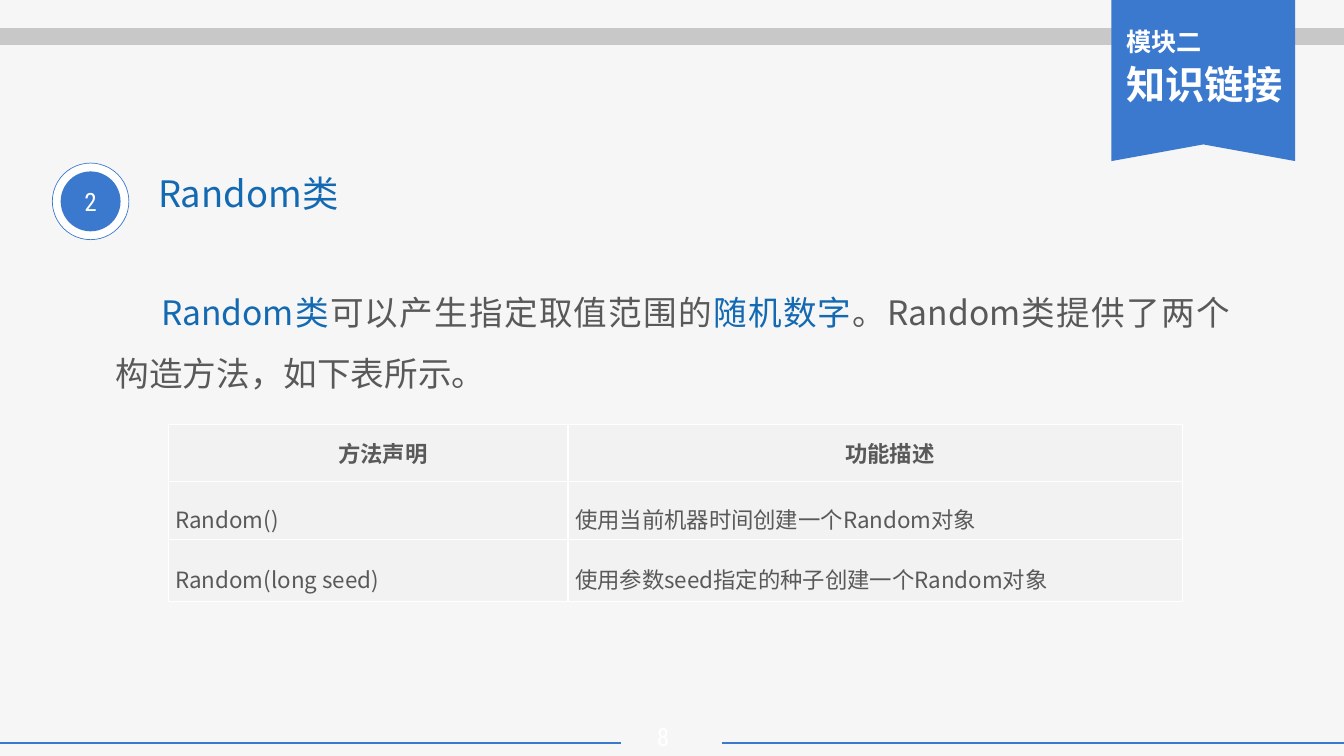
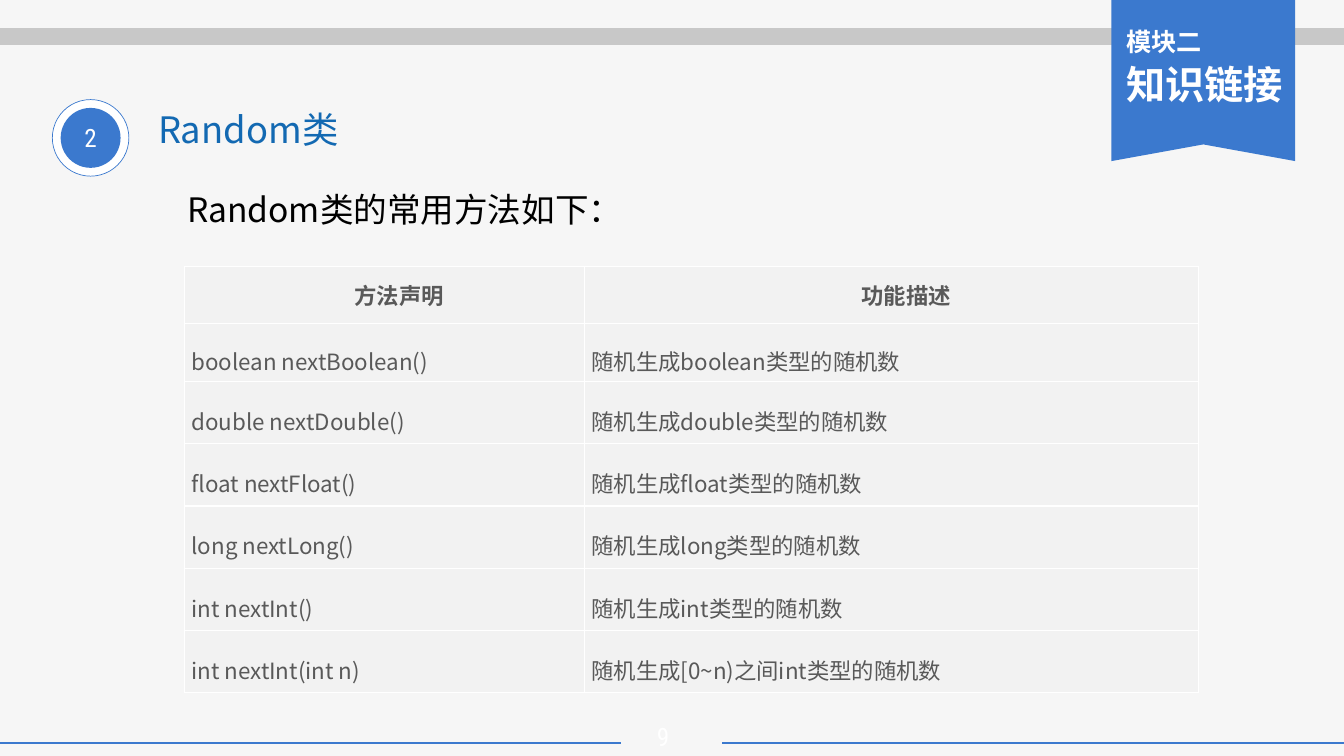
from lxml.etree import SubElement
from pptx import Presentation
from pptx.dml.color import RGBColor
from pptx.enum.shapes import MSO_CONNECTOR as LINE, MSO_SHAPE as SHAPE
from pptx.enum.text import MSO_ANCHOR as ANCHOR, MSO_AUTO_SIZE as FIT, PP_ALIGN as ALIGN
from pptx.oxml.ns import qn
from pptx.util import Cm, Pt

COLORS = {"page": "F6F6F6", "blue": "3B79CE", "title": "1369B2", "bar": "C8C8C8",
          "text": "595959", "cell": "F2F2F2", "white": "FFFFFF", "black": "000000"}
SANS, NUMERAL = "Noto Sans CJK SC", "Roboto Condensed"
WIDTH, HEIGHT = 33.88, 19.05
FIRST_PAGE = 8
HEADER = ("方法声明", "功能描述")
CONSTRUCTORS = [
    ("Random()", "使用当前机器时间创建一个Random对象"),
    ("Random(long seed)", "使用参数seed指定的种子创建一个Random对象"),
]
METHODS = [
    ("boolean nextBoolean()", "随机生成boolean类型的随机数"),
    ("double nextDouble()", "随机生成double类型的随机数"),
    ("float nextFloat()", "随机生成float类型的随机数"),
    ("long nextLong()", "随机生成long类型的随机数"),
    ("int nextInt()", "随机生成int类型的随机数"),
    ("int nextInt(int n)", "随机生成[0~n)之间int类型的随机数"),
]


def rgb(name):
    return RGBColor.from_string(COLORS[name])


def write(p, text, size=16, color="text", font=SANS, bold=False, align=ALIGN.LEFT,
          indent=0, spacing=1.0, after=0):
    p.alignment, p.line_spacing, p.space_after = align, spacing, Pt(after)
    if indent:
        p._p.get_or_add_pPr().set("indent", str(Cm(indent)))
    r = p.add_run()
    r.text = text
    r.font.name, r.font.size, r.font.bold = font, Pt(size), bold
    r.font.color.rgb = rgb(color)
    SubElement(r._r.get_or_add_rPr(), qn("a:ea"), typeface=font)


class Deck:
    """Hold the course style and the slide being built."""

    def __init__(self):
        self.prs = Presentation()
        self.prs.slide_width, self.prs.slide_height = Cm(WIDTH), Cm(HEIGHT)
        fill = self.prs.slide_master.background.fill
        fill.solid()
        fill.fore_color.rgb = rgb("page")

    def slide(self, title, number, top):
        self.s = self.prs.slides.add_slide(self.prs.slide_layouts[5])
        self.line(18.21, WIDTH, 18.72, "blue", 1.77)
        self.line(0, 15.65, 18.72, "blue", 1.77)
        self.line(0, WIDTH, 0.91, "bar", 12)
        self.ribbon("模块二", "知识链接")
        self.title(title, top + 0.2)
        self.badge(number, top)
        page = FIRST_PAGE + len(self.prs.slides) - 1
        tf = self.text(15.65, 18.05, 2.13, 1, ANCHOR.MIDDLE)
        write(tf.paragraphs[0], str(page), size=18, color="white", font=NUMERAL,
              align=ALIGN.CENTER)

    def line(self, x1, x2, y, color, width):
        c = self.s.shapes.add_connector(LINE.STRAIGHT, Cm(x1), Cm(y), Cm(x2), Cm(y))
        c.line.color.rgb, c.line.width = rgb(color), Pt(width)
        SubElement(c._element.spPr, qn("a:effectLst"))

    def paint(self, sp, fill, line=None):
        sp.shadow.inherit = False
        sp.fill.solid()
        sp.fill.fore_color.rgb = rgb(fill)
        if line:
            sp.line.color.rgb, sp.line.width = rgb(line), Pt(0.5)
        else:
            sp.line.fill.background()

    def ribbon(self, module, section):
        left, right, bottom, notch = 28.02, 32.65, 4.06, 3.64
        fb = self.s.shapes.build_freeform(Cm(left), 0)
        fb.add_line_segments([(Cm(right), 0), (Cm(right), Cm(bottom)),
                              (Cm((left + right) / 2), Cm(notch)), (Cm(left), Cm(bottom))])
        self.paint(fb.convert_to_shape(), "blue")
        tf = self.text(28.14, 0.53, 4.52, 2.34)
        style = dict(color="white", bold=True, after=3)
        write(tf.paragraphs[0], module, size=18, **style)
        write(tf.add_paragraph(), section, size=28, **style)

    def title(self, text, top):
        sp = self.s.shapes.title
        sp.left, sp.top, sp.width, sp.height = Cm(3.73), Cm(top), Cm(8.97), Cm(1.19)
        tf = sp.text_frame
        tf.auto_size, tf.vertical_anchor = FIT.NONE, ANCHOR.TOP
        tf.margin_top = tf.margin_bottom = 0
        write(tf.paragraphs[0], text, size=26, color="title")

    def badge(self, number, top):
        for inset, fill, line in ((0, "white", "blue"), (0.21, "blue", None)):
            size = Cm(1.93 - 2 * inset)
            sp = self.s.shapes.add_shape(SHAPE.OVAL, Cm(1.32 + inset), Cm(top + inset), size, size)
            self.paint(sp, fill, line)
        sp.text_frame.vertical_anchor = ANCHOR.MIDDLE
        write(sp.text_frame.paragraphs[0], number, size=18, color="white", font=NUMERAL,
              align=ALIGN.CENTER)

    def text(self, x, y, w, h, anchor=ANCHOR.TOP):
        tf = self.s.shapes.add_textbox(Cm(x), Cm(y), Cm(w), Cm(h)).text_frame
        tf.word_wrap, tf.vertical_anchor = True, anchor
        return tf

    def body(self, x, y, h, indent, runs):
        p = self.text(x, y, 28.58, h).paragraphs[0]
        for text, color in runs:
            write(p, text, size=24, color=color, align=ALIGN.JUSTIFY, indent=indent, spacing=1.5)

    def table(self, x, y, rows):
        widths = (10.08, 15.49)
        heights = [1.45, 1.45] + [1.57] * (len(rows) - 1)
        tb = self.s.shapes.add_table(len(heights), 2, Cm(x), Cm(y), Cm(sum(widths)),
                                     Cm(sum(heights))).table
        for col, w in zip(tb.columns, widths):
            col.width = Cm(w)
        for i, (row, h) in enumerate(zip([HEADER] + rows, heights)):
            tb.rows[i].height = Cm(h)
            style = dict(spacing=1.5) if i else dict(bold=True, align=ALIGN.CENTER, indent=0.74)
            for j, text in enumerate(row):
                self.cell(tb.cell(i, j), text, style)

    def cell(self, cell, text, style):
        cell.vertical_anchor = ANCHOR.MIDDLE
        cell.margin_left = cell.margin_right = Cm(0.18)
        cell.margin_top = cell.margin_bottom = 0
        write(cell.text_frame.paragraphs[0], text, **style)
        tcPr = cell._tc.get_or_add_tcPr()
        for side in ("lnL", "lnR", "lnT", "lnB"):
            ln = SubElement(tcPr, qn("a:" + side), w=str(Pt(1)))
            SubElement(SubElement(ln, qn("a:solidFill")), qn("a:srgbClr"), val=COLORS["white"])
        cell.fill.solid()
        cell.fill.fore_color.rgb = rgb("cell")


def main():
    d = Deck()
    d.slide("Random类", "2", 4.11)
    d.body(2.67, 6.73, 4.32, 1.14, [
        ("Random类", "title"), ("可以产生指定取值范围的", "text"), ("随机数字", "title"),
        ("。Random类提供了两个构造方法，如下表所示。", "text")])
    d.table(4.24, 10.69, CONSTRUCTORS)
    d.slide("Random类", "2", 2.51)
    d.body(3.73, 4.14, 2.67, 0.74, [("Random类的常用方法如下：", "black")])
    d.table(4.65, 6.71, METHODS)
    d.prs.save("out.pptx")


if __name__ == "__main__":
    main()
